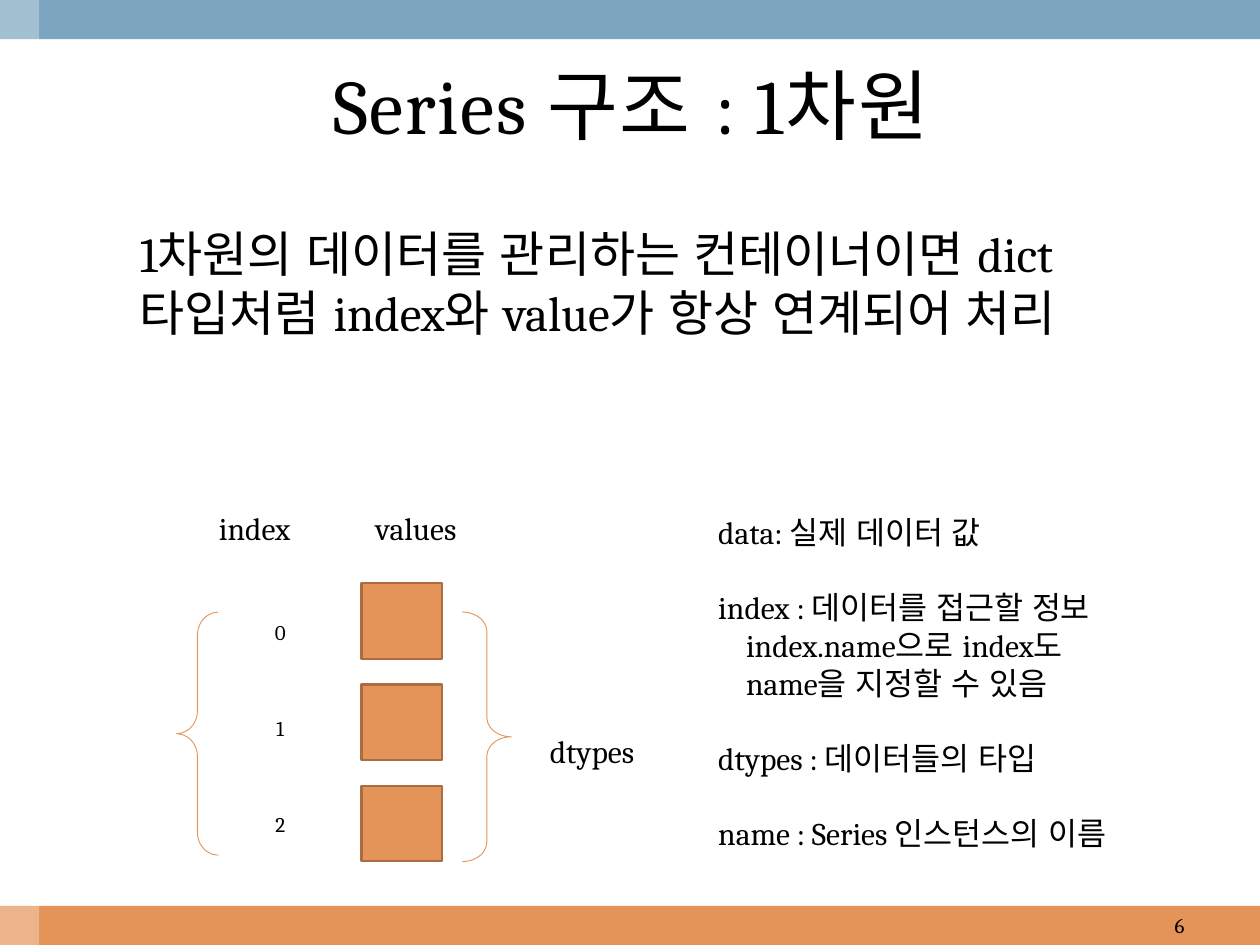
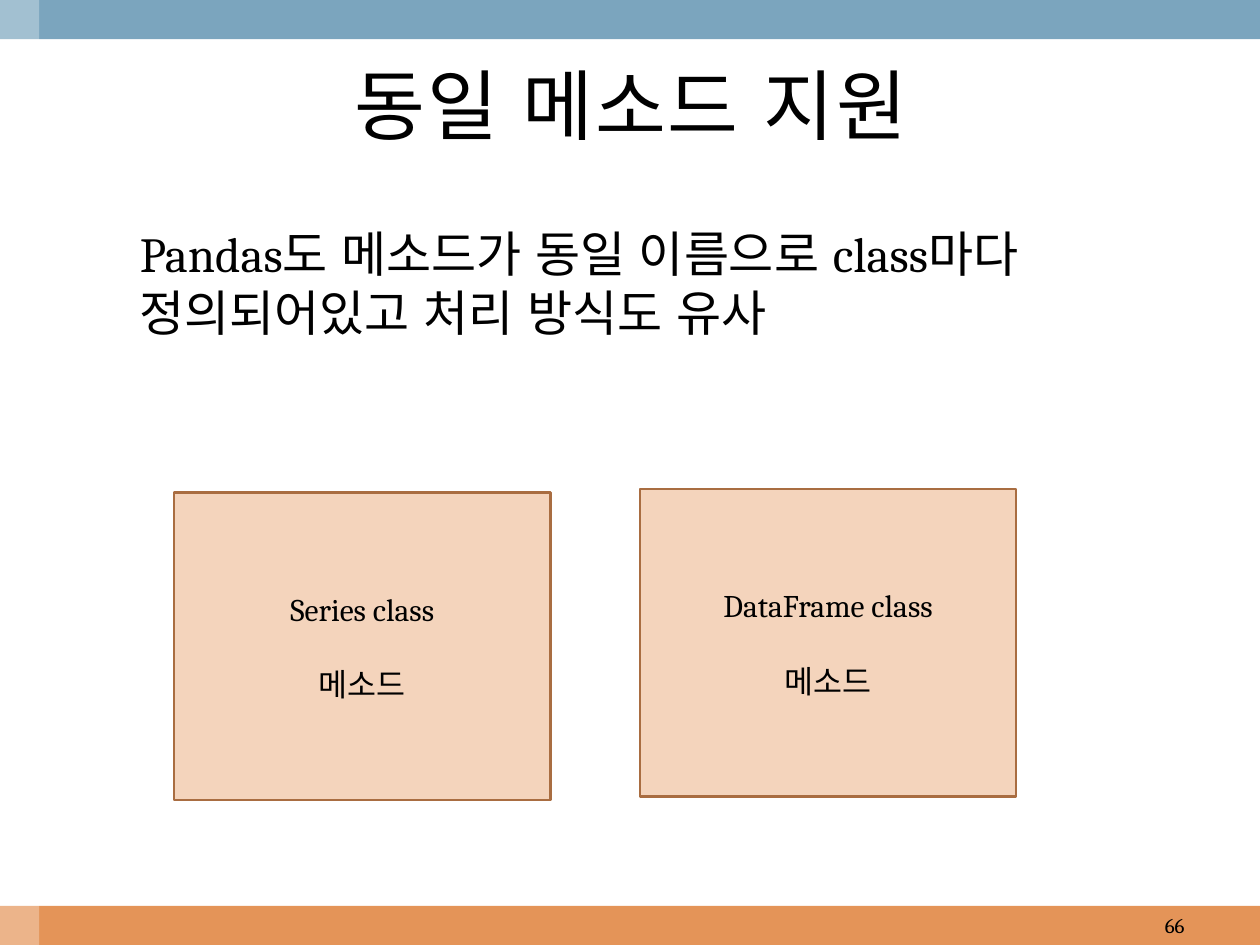
from dataclasses import dataclass

from lxml import etree
from pptx import Presentation
from pptx.dml.color import RGBColor
from pptx.enum.lang import MSO_LANGUAGE_ID
from pptx.enum.shapes import MSO_SHAPE
from pptx.enum.text import MSO_ANCHOR, PP_ALIGN
from pptx.oxml.ns import qn
from pptx.shapes.autoshape import Shape
from pptx.slide import Slide
from pptx.util import Cm, Pt

RECTANGLE = MSO_SHAPE.RECTANGLE
BRACE = MSO_SHAPE.RIGHT_BRACE
LEFT, CENTER, RIGHT = PP_ALIGN.LEFT, PP_ALIGN.CENTER, PP_ALIGN.RIGHT
TOP, MIDDLE = MSO_ANCHOR.TOP, MSO_ANCHOR.MIDDLE
KOREAN = MSO_LANGUAGE_ID.KOREAN


@dataclass(frozen=True)
class Theme:
    font: str = "Cambria"
    text: str = "000000"
    white: str = "FFFFFF"
    blue: str = "7BA5BE"
    orange: str = "E49458"
    brown: str = "A96D41"
    peach: str = "F4D4BC"
    title_size: float = 44
    body_size: float = 28
    label_size: float = 18
    small_size: float = 12
    line_gap: float = 21.5
    box_line: float = 1.25
    brace_line: float = 0.5


THEME = Theme()


@dataclass(frozen=True)
class Area:
    """Position and size in centimetres."""
    left: float
    top: float
    width: float
    height: float

    def lengths(self) -> tuple[Cm, Cm, Cm, Cm]:
        return Cm(self.left), Cm(self.top), Cm(self.width), Cm(self.height)


@dataclass(frozen=True)
class Line:
    """One paragraph; indent in centimetres, gap in points before it."""
    text: str
    indent: float = 0
    gap: float = 0


@dataclass(frozen=True)
class Brace:
    area: Area
    curve: float
    rotation: float = 0


@dataclass(frozen=True)
class ClassBox:
    name: str
    area: Area


PAGE_WIDTH, PAGE_HEIGHT, BAND = 25.4, 19.05, 0.79
TITLE_AREA = Area(0.84, BAND, 23.77, 2.62)
BODY_AREA = Area(1.3, 4.39, 22.86, 3.73)
NUMBER_AREA = Area(18.21, PAGE_HEIGHT - BAND, 5.92, BAND)

LABELS = {
    "index": (3.51, 10.13),
    "values": (6.76, 10.13),
    "dtypes": (10.31, 14.63),
}
BRACES = (
    Brace(Area(3.56, 12.34, 0.84, 4.9), 0.55, 180),
    Brace(Area(9.32, 12.34, 0.99, 5.03), 0.394),
)
DESCRIPTION = (
    Line("data: 실제 데이터 값", 0.13),
    Line("index : 데이터를 접근할 정보", 0.13, THEME.line_gap),
    Line("index.name으로 index도", 0.69),
    Line("name을 지정할 수 있음", 0.69),
    Line("dtypes : 데이터들의 타입", 0.13, THEME.line_gap),
    Line("name : Series 인스턴스의 이름", 0.13, THEME.line_gap),
)
CLASS_BOXES = (
    ClassBox("Series class", Area(3.51, 9.93, 7.59, 6.2)),
    ClassBox("DataFrame class", Area(12.9, 9.86, 7.59, 6.2)),
)


def write(box: Shape, lines: tuple[Line, ...], size: float,
          align: PP_ALIGN = LEFT, anchor: MSO_ANCHOR = TOP, spacing: float = 0) -> None:
    frame = box.text_frame
    frame.word_wrap = True
    frame.vertical_anchor = anchor
    font_format = {"name": THEME.font, "size": Pt(size), "language_id": KOREAN}
    for position, line in enumerate(lines):
        para = frame.add_paragraph() if position else frame.paragraphs[0]
        para.alignment = align
        if line.indent:
            para._p.get_or_add_pPr().set("marL", str(Cm(line.indent)))
        if line.gap:
            para.space_before = Pt(line.gap)
        span = para.add_run()
        span.text = line.text
        for name, value in font_format.items():
            setattr(span.font, name, value)
        span.font.color.rgb = RGBColor.from_string(THEME.text)
        if spacing:
            span._r.get_or_add_rPr().set("spc", str(round(spacing * 100)))


def add_text(page: Slide, area: Area, lines: tuple[Line, ...], size: float,
             align: PP_ALIGN = LEFT, anchor: MSO_ANCHOR = TOP, spacing: float = 0) -> None:
    box = page.shapes.add_textbox(*area.lengths())
    write(box, lines, size, align, anchor, spacing)


def add_box(page: Slide, area: Area, fill: str = "", line: str = "",
            weight: float = THEME.box_line, kind: MSO_SHAPE = RECTANGLE) -> Shape:
    box = page.shapes.add_shape(kind, *area.lengths())
    box.shadow.inherit = False
    if fill:
        box.fill.solid()
        box.fill.fore_color.rgb = RGBColor.from_string(fill)
    else:
        box.fill.background()
    if line:
        box.line.color.rgb = RGBColor.from_string(line)
        box.line.width = Pt(weight)
    else:
        box.line.fill.background()
    return box


def add_brace(page: Slide, brace: Brace) -> None:
    shape = add_box(page, brace.area, line=THEME.orange, weight=THEME.brace_line, kind=BRACE)
    shape.adjustments[0] = brace.curve
    shape.adjustments[1] = 0.5
    shape.rotation = brace.rotation


def set_opacity(box: Shape, percent: int) -> None:
    color = box._element.spPr.find(qn("a:solidFill"))[0]
    etree.SubElement(color, qn("a:alpha")).set("val", str(percent * 1000))


def add_page(deck: Presentation, title: str, body: str, number: int) -> Slide:
    """Add a page with bands, title, body text and page number."""
    page = deck.slides.add_slide(deck.slide_layouts[6])
    add_box(page, Area(0, PAGE_HEIGHT - BAND, PAGE_WIDTH, BAND), THEME.orange)
    add_box(page, Area(0, 0, PAGE_WIDTH, BAND), THEME.blue)
    set_opacity(add_box(page, Area(0, 0, BAND, PAGE_HEIGHT), THEME.white), 30)
    add_text(page, BODY_AREA, (Line(body, 1.27),), THEME.body_size)
    add_text(page, NUMBER_AREA, (Line(str(number)),), THEME.small_size, RIGHT, MIDDLE)
    add_text(page, TITLE_AREA, (Line(title),), THEME.title_size, CENTER, MIDDLE, spacing=1)
    return page


def draw_series_structure(page: Slide) -> None:
    for row in range(3):
        add_box(page, Area(7.29, 11.76 + 2.04 * row, 1.63, 1.52), THEME.orange, THEME.brown)
        add_text(page, Area(4.75, 12.37 + 1.93 * row, 1.8, 0.76),
                 (Line(str(row)),), THEME.small_size, CENTER)
    for text, (left, top) in LABELS.items():
        add_text(page, Area(left, top, 3.25, 1.02), (Line(text),), THEME.label_size, CENTER)
    for brace in BRACES:
        add_brace(page, brace)
    add_text(page, Area(14.1, 10.21, 10.21, 7.19), DESCRIPTION, THEME.label_size)


def draw_class_boxes(page: Slide) -> None:
    for item in CLASS_BOXES:
        box = add_box(page, item.area, THEME.peach, THEME.brown)
        lines = (Line(item.name), Line("메소드", gap=THEME.line_gap))
        write(box, lines, THEME.label_size, CENTER, MIDDLE)


def main() -> None:
    deck = Presentation()
    deck.slide_width, deck.slide_height = Cm(PAGE_WIDTH), Cm(PAGE_HEIGHT)
    draw_series_structure(add_page(
        deck, "Series 구조 : 1차원",
        "1차원의 데이터를 관리하는 컨테이너이면 dict 타입처럼 index와 value가 항상 연계되어 처리", 6))
    draw_class_boxes(add_page(
        deck, "동일 메소드 지원",
        "Pandas도 메소드가 동일 이름으로 class마다 정의되어있고 처리 방식도 유사", 66))
    deck.save("out.pptx")


if __name__ == "__main__":
    main()
